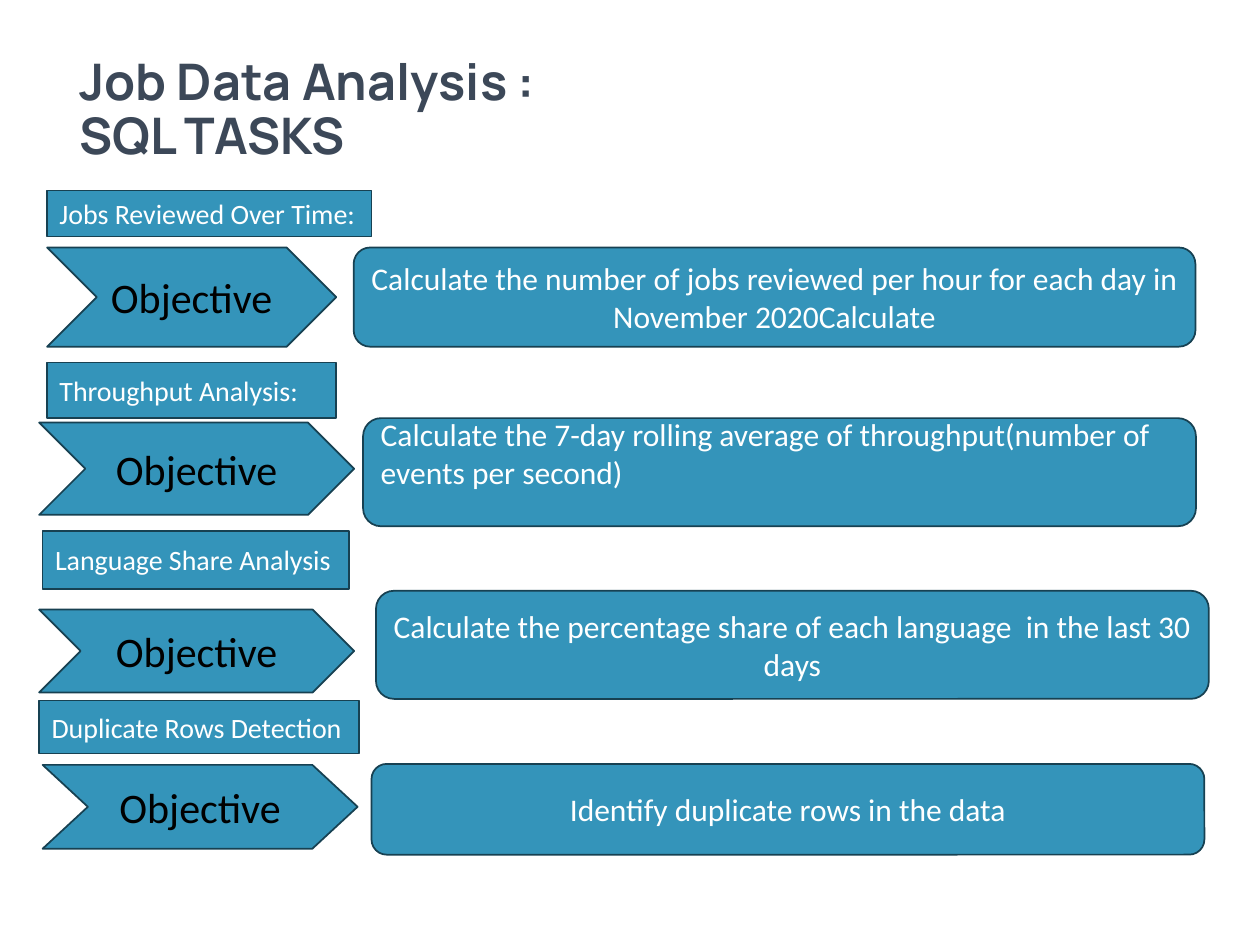
import pptx
import pptx.dml.color
import pptx.enum.shapes
import pptx.enum.text
import pptx.util

Cm = pptx.util.Cm
Pt = pptx.util.Pt
Shape = pptx.enum.shapes.MSO_SHAPE
Align = pptx.enum.text.PP_ALIGN
Anchor = pptx.enum.text.MSO_ANCHOR

TITLE = "Job Data Analysis :\nSQL TASKS"
TITLE_BOX = (1.35, 1.02, 22.3, 2.44)
OBJECTIVE = "Objective"
TASKS = [
    {
        "heading": ("Jobs Reviewed Over Time:", (0.95, 3.84, 6.54, 0.93)),
        "objective": (OBJECTIVE, (0.95, 4.99, 5.83, 2)),
        "detail": (
            "Calculate the number of jobs reviewed per hour for each day in November 2020Calculate",
            (7.13, 4.99, 16.97, 2),
        ),
    },
    {
        "heading": ("Throughput Analysis:", (0.95, 7.31, 5.83, 1.12)),
        "objective": (OBJECTIVE, (0.79, 8.52, 6.35, 1.86)),
        "detail": (
            "Calculate the 7-day rolling average of throughput(number of events per second)",
            (7.32, 8.43, 16.79, 2.18),
        ),
        "detail_format": {"alignment": Align.LEFT, "margin_bottom": Cm(0.89)},
    },
    {
        "heading": ("Language Share Analysis", (0.86, 10.7, 6.17, 1.17)),
        "objective": (OBJECTIVE, (0.79, 12.29, 6.35, 1.67)),
        "detail": (
            "Calculate the percentage share of each language  in the last 30 days",
            (7.58, 11.91, 16.79, 2.18),
        ),
    },
    {
        "heading": ("Duplicate Rows Detection", (0.79, 14.12, 6.45, 1.07)),
        "objective": (OBJECTIVE, (0.86, 15.42, 6.35, 1.69)),
        "detail": ("Identify duplicate rows in the data", (7.49, 15.4, 16.79, 1.83)),
        "chevron_point": 0.54,
    },
]
THEME = {
    "fill": "3494BA",
    "line": "174152",
    "line_width": 1,
    "title": {"name": "Manrope", "size": 28.8, "color": "3C4858", "bold": True},
    "heading": {"name": "Calibri", "size": 16, "color": "FFFFFF"},
    "objective": {"name": "Calibri", "size": 24, "color": "000000"},
    "detail": {"name": "Calibri", "size": 18, "color": "FFFFFF"},
}
PARTS = {
    "heading": (Shape.RECTANGLE, Align.LEFT),
    "objective": (Shape.CHEVRON, Align.CENTER),
    "detail": (Shape.ROUNDED_RECTANGLE, Align.CENTER),
}


def color(value):
    return pptx.dml.color.RGBColor.from_string(value)


def apply_format(target, values):
    for name, value in values.items():
        setattr(target, name, value)


def write_text(shape, text, style, paragraph_format, frame_format=None):
    frame = shape.text_frame
    apply_format(frame, {"word_wrap": True, "vertical_anchor": Anchor.MIDDLE, **(frame_format or {})})
    paragraph = frame.paragraphs[0]
    paragraph.text = text
    apply_format(paragraph, paragraph_format)
    font_format = {**style, "size": Pt(style["size"])}
    font_color = color(font_format.pop("color"))
    for run in paragraph.runs:
        apply_format(run.font, font_format)
        run.font.color.rgb = font_color


def add_part(slide, task, part):
    preset, alignment = PARTS[part]
    text, box = task[part]
    shape = slide.shapes.add_shape(preset, *map(Cm, box))
    shape.shadow.inherit = False
    shape.fill.solid()
    shape.fill.fore_color.rgb = color(THEME["fill"])
    shape.line.color.rgb = color(THEME["line"])
    shape.line.width = Pt(THEME["line_width"])
    if part == "objective" and "chevron_point" in task:
        shape.adjustments[0] = task["chevron_point"]
    frame_format = dict(task.get(f"{part}_format", {}))
    paragraph_format = {"alignment": frame_format.pop("alignment", alignment)}
    write_text(shape, text, THEME[part], paragraph_format, frame_format)


def main():
    presentation = pptx.Presentation()
    apply_format(presentation, {"slide_width": Cm(25.4), "slide_height": Cm(19.05)})
    slide = presentation.slides.add_slide(presentation.slide_layouts[6])
    title = slide.shapes.add_textbox(*map(Cm, TITLE_BOX))
    write_text(title, TITLE, THEME["title"], {"line_spacing": 0.9})
    for task in TASKS:
        for part in PARTS:
            add_part(slide, task, part)
    presentation.save("out.pptx")


if __name__ == "__main__":
    main()
